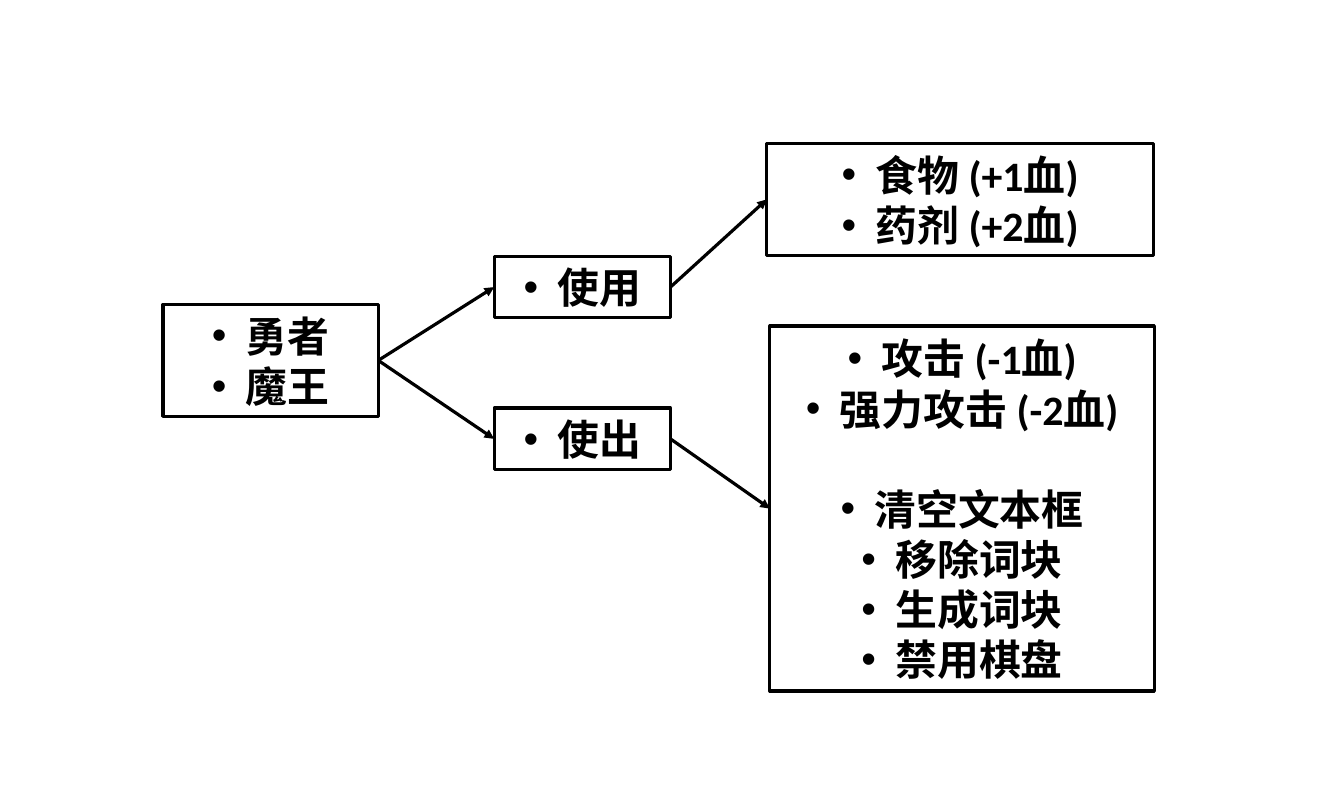
from lxml import etree
from pptx import Presentation
from pptx.dml.color import RGBColor
from pptx.enum import shapes, text
from pptx.oxml import ns
from pptx.util import Inches, Pt

COLORS = {"ink": "000000"}
FONT, FONT_SIZE, LINE_WIDTH = "Calibri", 29.4, 2.25
BULLET_INDENT = 0.33
GROUP_GAP = 35  # points, one line of text
LEFT_SITE, RIGHT_SITE = 1, 3

# name: (left, top, width, height), groups of bullet lines
BOXES = {
    "roles": ((1.59, 2.97, 2.1, 1.09), [["勇者", "魔王"]]),
    "use": ((4.82, 2.5, 1.72, 0.6), [["使用"]]),
    "cast": ((4.82, 3.98, 1.72, 0.6), [["使出"]]),
    "items": ((7.48, 1.4, 3.77, 1.09), [["食物 (+1血)", "药剂 (+2血)"]]),
    "skills": ((7.51, 3.18, 3.75, 3.56), [
        ["攻击 (-1血)", "强力攻击 (-2血)"],
        ["清空文本框", "移除词块", "生成词块", "禁用棋盘"],
    ]),
}
ARROWS = [("roles", "use"), ("roles", "cast"), ("use", "items"), ("cast", "skills")]


def style_line(line):
    line.color.rgb = RGBColor.from_string(COLORS["ink"])
    line.width = Pt(LINE_WIDTH)


def format_bullet(paragraph):
    paragraph.alignment = text.PP_ALIGN.CENTER
    properties = paragraph._p.get_or_add_pPr()
    properties.set("marL", str(Inches(BULLET_INDENT)))
    properties.set("indent", str(-Inches(BULLET_INDENT)))
    etree.SubElement(properties, ns.qn("a:buFont"), typeface="Arial")
    etree.SubElement(properties, ns.qn("a:buChar"), char="•")
    font = paragraph.runs[0].font
    font.name, font.size, font.bold = FONT, Pt(FONT_SIZE), True
    font.color.rgb = RGBColor.from_string(COLORS["ink"])


def add_box(slide, bounds, groups):
    shape = slide.shapes.add_shape(
        shapes.MSO_SHAPE.RECTANGLE, *(Inches(length) for length in bounds))
    shape.shadow.inherit = False
    shape.fill.background()
    style_line(shape.line)
    frame = shape.text_frame
    frame.word_wrap = True
    frame.vertical_anchor = text.MSO_ANCHOR.MIDDLE
    frame.text = "\n".join(line for group in groups for line in group)
    for paragraph in frame.paragraphs:
        format_bullet(paragraph)
    start = 0
    for group in groups[:-1]:
        start += len(group)
        frame.paragraphs[start].space_before = Pt(GROUP_GAP)
    return shape


def add_arrow(slide, source, target):
    connector = slide.shapes.add_connector(shapes.MSO_CONNECTOR.STRAIGHT, 0, 0, 0, 0)
    connector.begin_connect(source, RIGHT_SITE)
    connector.end_connect(target, LEFT_SITE)
    style_line(connector.line)
    etree.SubElement(connector.line._get_or_add_ln(), ns.qn("a:tailEnd"), type="triangle")
    etree.SubElement(connector._element.spPr, ns.qn("a:effectLst"))


def main():
    presentation = Presentation()
    presentation.slide_width = Inches(13.11)
    presentation.slide_height = Inches(7.87)
    slide = presentation.slides.add_slide(presentation.slide_layouts[6])
    boxes = {name: add_box(slide, *content) for name, content in BOXES.items()}
    for source, target in ARROWS:
        add_arrow(slide, boxes[source], boxes[target])
    presentation.save("out.pptx")


if __name__ == "__main__":
    main()
